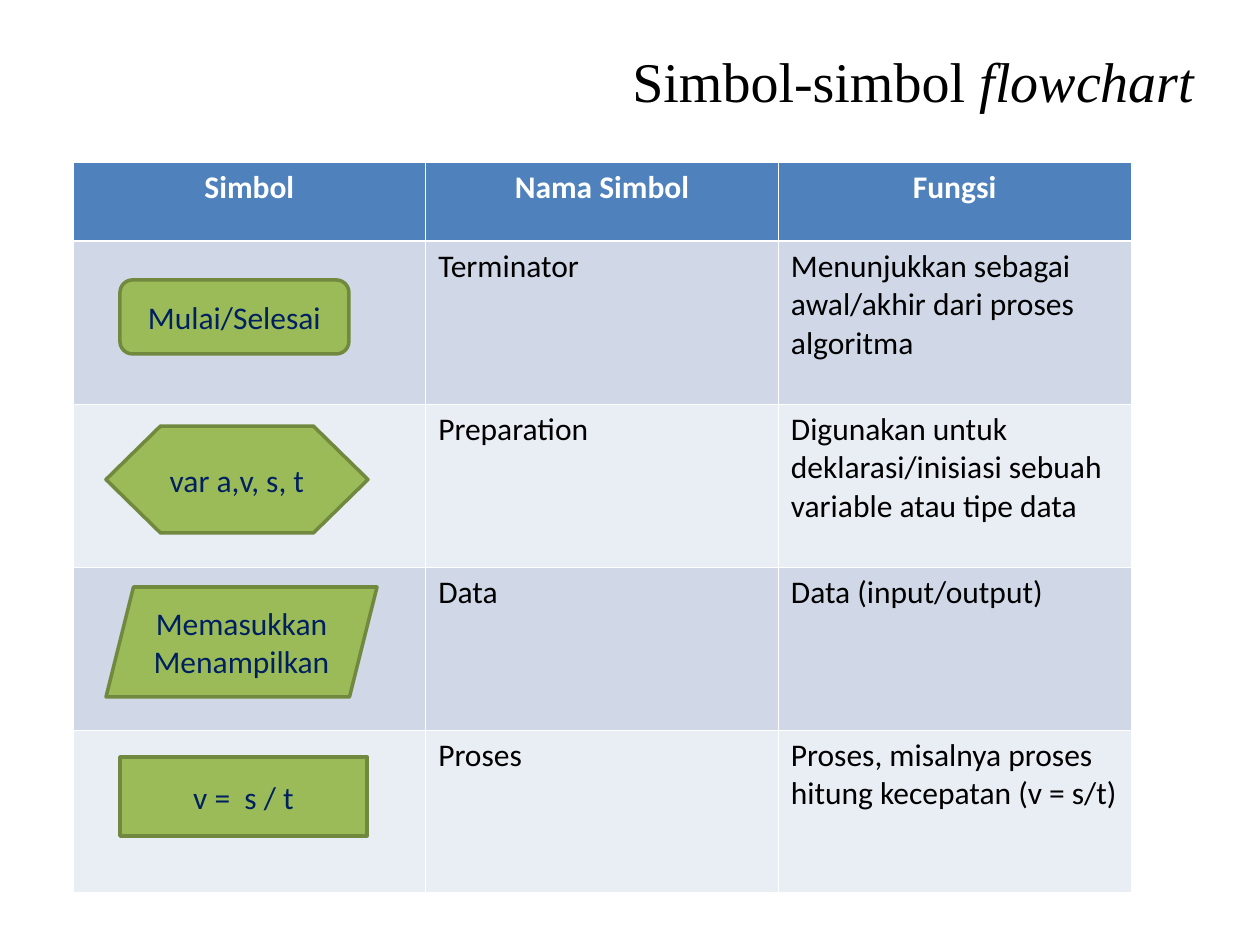
"""Build the slide that explains the flowchart symbols."""
from lxml import etree
from pptx import Presentation
from pptx import util as u
from pptx.dml.color import RGBColor
from pptx.enum import shapes, text
from pptx.oxml.ns import qn

PX = 914400 / 126
BLACK = RGBColor(0x00, 0x00, 0x00)
WHITE = RGBColor(0xFF, 0xFF, 0xFF)
BLUE = RGBColor(0x4F, 0x81, 0xBD)
BANDS = [RGBColor(0xE9, 0xED, 0xF4), RGBColor(0xD0, 0xD8, 0xE8)]
GREEN = RGBColor(0x9B, 0xBB, 0x59)
OLIVE = RGBColor(0x71, 0x89, 0x3F)
NAVY = RGBColor(0x00, 0x20, 0x60)

TITLE = [("Simbol-simbol ", False), ("flowchart", True)]
ROWS = [
    ("Simbol", "Nama Simbol", "Fungsi"),
    ("", "Terminator", "Menunjukkan sebagai awal/akhir dari proses algoritma"),
    ("", "Preparation", "Digunakan untuk deklarasi/inisiasi sebuah variable atau tipe data"),
    ("", "Data", "Data (input/output)"),
    ("", "Proses", "Proses, misalnya proses hitung kecepatan (v = s/t)"),
]
KIND = shapes.MSO_SHAPE
SYMBOLS = [
    (KIND.ROUNDED_RECTANGLE, 0.17, (120, 280, 229, 74), ["Mulai/Selesai"]),
    (KIND.HEXAGON, 0.51, (106, 426, 262, 107), ["var a,v, s, t"]),
    (KIND.RECTANGLE, None, (120, 757, 247, 79), ["v =  s / t"]),
    (KIND.PARALLELOGRAM, 0.25, (106, 587, 271, 110), ["Memasukkan", "Menampilkan"]),
]
TABLE_BOX = (73, 162, 1058, 731)
HEAD_H, ROW_H = 79, 163


def px(n):
    return u.Emu(round(n * PX))


def add_run(p, words, color, size=18, font="Calibri", bold=False, italic=False):
    r = p.add_run()
    r.text = words
    f = r.font
    f.name, f.size, f.bold, f.italic = font, u.Pt(size), bold, italic
    f.color.rgb = color


def set_borders(cell, widths):
    tc_pr = cell._tc.get_or_add_tcPr()
    for i, (side, width) in enumerate(widths.items()):
        ln = etree.Element(qn("a:ln" + side), w=str(u.Pt(width)))
        fill = etree.SubElement(ln, qn("a:solidFill"))
        etree.SubElement(fill, qn("a:srgbClr"), val=str(WHITE))
        tc_pr.insert(i, ln)


def add_title(s):
    tf = s.shapes.add_textbox(*map(px, (292, 55, 915, 66))).text_frame
    tf.word_wrap = True
    tf.vertical_anchor = text.MSO_ANCHOR.MIDDLE
    p = tf.paragraphs[0]
    p.alignment = text.PP_ALIGN.RIGHT
    p.line_spacing = u.Pt(30)
    for words, italic in TITLE:
        add_run(p, words, BLACK, 32, "Times New Roman", italic=italic)


def add_symbol_table(s):
    table = s.shapes.add_table(len(ROWS), len(ROWS[0]), *map(px, TABLE_BOX)).table
    for col in table.columns:
        col.width = px(TABLE_BOX[2] / len(ROWS[0]))
    for i, row in enumerate(ROWS):
        head = i == 0
        table.rows[i].height = px(HEAD_H if head else ROW_H)
        for j, words in enumerate(row):
            cell = table.cell(i, j)
            cell.fill.solid()
            cell.fill.fore_color.rgb = BLUE if head else BANDS[i % 2]
            set_borders(cell, {"L": 0.45, "R": 0.45,
                               "T": 1.47 if i == 1 else 0.45,
                               "B": 1.47 if head else 0.45})
            p = cell.text_frame.paragraphs[0]
            p.alignment = text.PP_ALIGN.CENTER if head else text.PP_ALIGN.LEFT
            if words:
                add_run(p, words, WHITE if head else BLACK, bold=head)


def add_symbol(s, kind, adjust, box, lines):
    sp = s.shapes.add_shape(kind, *map(px, box))
    sp.shadow.inherit = False
    if adjust is not None:
        sp.adjustments[0] = adjust
    sp.fill.solid()
    sp.fill.fore_color.rgb = GREEN
    sp.line.color.rgb = OLIVE
    sp.line.width = u.Pt(2)
    tf = sp.text_frame
    tf.word_wrap = True
    tf.vertical_anchor = text.MSO_ANCHOR.MIDDLE
    for i, words in enumerate(lines):
        p = tf.add_paragraph() if i else tf.paragraphs[0]
        p.alignment = text.PP_ALIGN.CENTER
        add_run(p, words, NAVY)


def main():
    prs = Presentation()
    prs.slide_width, prs.slide_height = px(1260), px(945)
    s = prs.slides.add_slide(prs.slide_layouts[6])
    add_title(s)
    add_symbol_table(s)
    for symbol in SYMBOLS:
        add_symbol(s, *symbol)
    prs.save("out.pptx")


if __name__ == "__main__":
    main()
